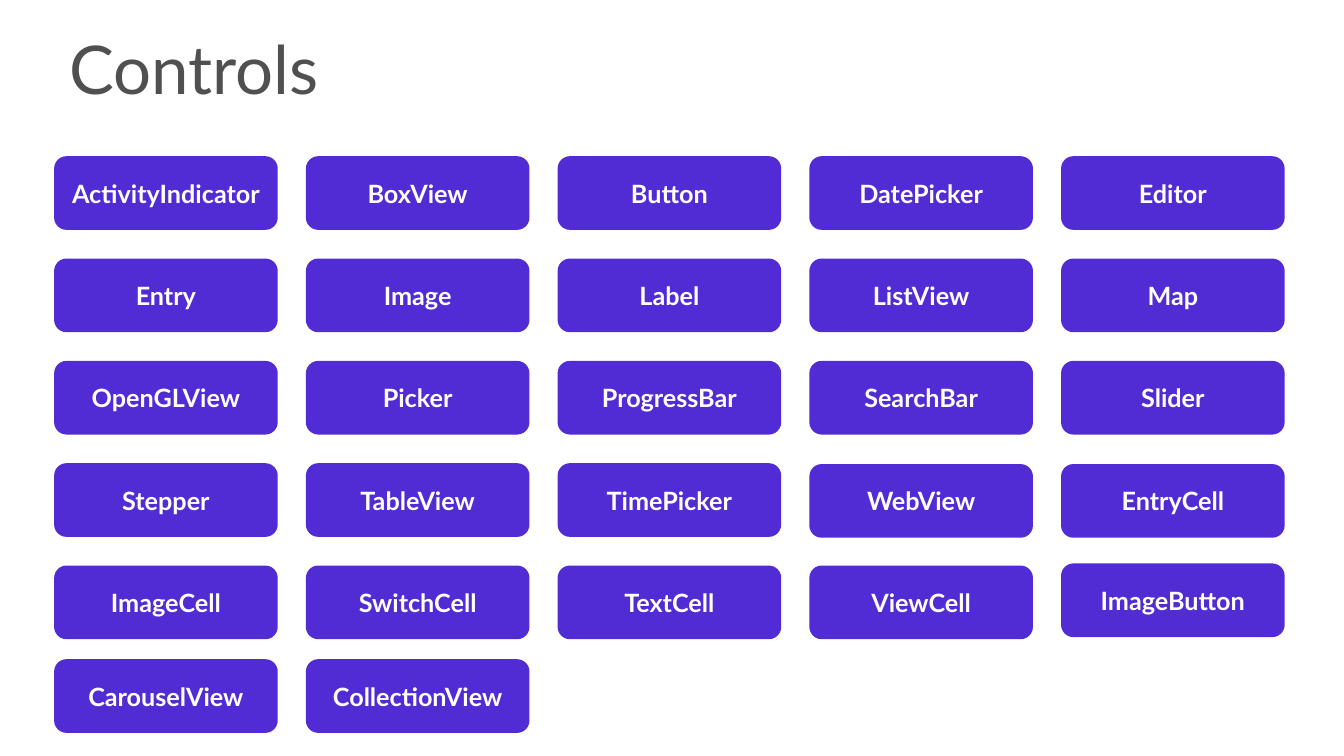
from pptx import Presentation
from pptx.dml.color import RGBColor
from pptx.enum import shapes, text
from pptx.util import Pt

FONT = "Lato"
NAMES = """
ActivityIndicator BoxView Button DatePicker Editor
Entry Image Label ListView Map
OpenGLView Picker ProgressBar SearchBar Slider
Stepper TableView TimePicker WebView EntryCell
ImageCell SwitchCell TextCell ViewCell ImageButton
CarouselView CollectionView
""".split()
COLS = 5
TILE = (159.8, 52.6)
STEP = (179.9, 73.1)
# Small vertical offsets from the even grid
NUDGE = {"WebView": 0.6, "EntryCell": 0.6, "ImageButton": -1.5,
         "CarouselView": -6.2, "CollectionView": -6.2}


def color(code):
    return RGBColor.from_string(code)


def write(frame, words, size, code, bold=False):
    """Add one run to the first paragraph and return that paragraph."""
    frame.word_wrap = True
    para = frame.paragraphs[0]
    run = para.add_run()
    run.text = words
    font = run.font
    font.name, font.size, font.bold = FONT, Pt(size), bold
    font.color.rgb = color(code)
    return para


def title(slide, box, words):
    area = slide.shapes.add_textbox(*map(Pt, box))
    para = write(area.text_frame, words, 48, "505050")
    para.line_spacing = 0.9


def tile(slide, box, name):
    shape = slide.shapes.add_shape(
        shapes.MSO_SHAPE.ROUNDED_RECTANGLE, *map(Pt, box))
    shape.adjustments[0] = 0.167
    shape.shadow.inherit = False
    shape.fill.solid()
    shape.fill.fore_color.rgb = color("512BD4")
    shape.line.fill.background()
    frame = shape.text_frame
    frame.vertical_anchor = text.MSO_ANCHOR.MIDDLE
    para = write(frame, name, 18, "FFFFFF", bold=True)
    para.alignment = text.PP_ALIGN.CENTER


def grid(slide, left, top):
    for i, name in enumerate(NAMES):
        row, col = divmod(i, COLS)
        x = left + col * STEP[0]
        y = top + row * STEP[1] + NUDGE.get(name, 0)
        tile(slide, (x, y, *TILE), name)


def main():
    deck = Presentation()
    deck.slide_width, deck.slide_height = Pt(960.48), Pt(540)
    slide = deck.slides.add_slide(deck.slide_layouts[6])
    title(slide, (42.5, 22.3, 917.3, 72.7), "Controls")
    grid(slide, 38.7, 111.6)
    deck.save("out.pptx")


if __name__ == "__main__":
    main()
